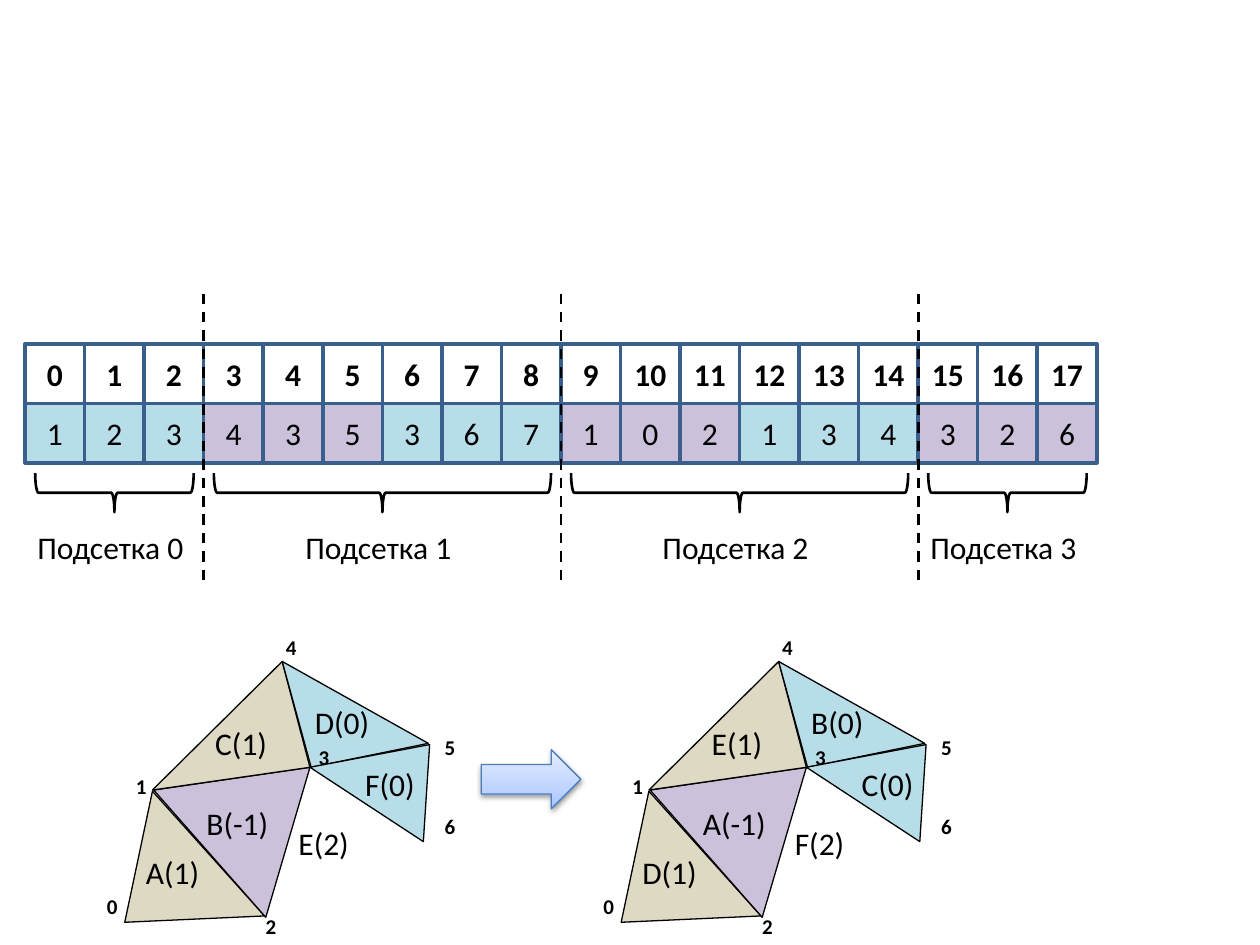
import pptx
import pptx.util
import pptx.dml.color
import pptx.enum.dml
import pptx.enum.shapes
import pptx.enum.text
import pptx.oxml
import pptx.oxml.ns

Inches = pptx.util.Inches
Pt = pptx.util.Pt
RGBColor = pptx.dml.color.RGBColor
SHAPE = pptx.enum.shapes.MSO_SHAPE

BLACK = RGBColor(0x00, 0x00, 0x00)
TAN = RGBColor(0xDD, 0xD9, 0xC3)
LILAC = RGBColor(0xCC, 0xC1, 0xDA)
AQUA = RGBColor(0xB7, 0xDE, 0xE8)
NAVY = RGBColor(0x3A, 0x5F, 0x8C)
BLUE = RGBColor(0x4B, 0x7E, 0xBC)

prs = pptx.Presentation()
prs.slide_width, prs.slide_height = Inches(10), Inches(7.5)
slide = prs.slides.add_slide(prs.slide_layouts[6])
shapes = slide.shapes


def write(shape, text, size, bold=False):
    frame = shape.text_frame
    frame.text = text
    font = frame.paragraphs[0].runs[0].font
    font.name, font.size, font.bold = "Calibri", Pt(size), bold
    font.color.rgb = BLACK
    return frame


def label(parent, text, left, top, width, height, size, bold=False):
    box = parent.add_textbox(Inches(left), Inches(top), Inches(width), Inches(height))
    frame = write(box, text, size, bold)
    frame.word_wrap = False
    frame.auto_size = pptx.enum.text.MSO_AUTO_SIZE.SHAPE_TO_FIT_TEXT


# Two meshes: same triangles and nodes, different element names
faces = [
    (TAN, [(0.99, 7.32), (1.21, 6.28), (2.1, 7.27)]),
    (LILAC, [(1.22, 6.27), (2.11, 7.28), (2.46, 6.09)]),
    (TAN, [(1.21, 6.27), (2.46, 6.09), (2.24, 5.25)]),
    (AQUA, [(2.24, 5.25), (2.47, 6.09), (3.4, 5.9)]),
    (AQUA, [(2.46, 6.09), (3.36, 6.68), (3.41, 5.91)]),
]
nodes = [(0.75, 7.04), (0.98, 6.09), (2.01, 7.2), (2.43, 5.86),
         (2.17, 4.99), (3.43, 5.78), (3.43, 6.41)]
spots = [(1.06, 6.72, 0.66), (1.54, 6.33, 0.73), (1.61, 5.7, 0.65),
         (2.4, 5.53, 0.67), (2.27, 6.49, 0.64), (2.8, 6.02, 0.65)]
meshes = [
    (0, ["A(1)", "B(-1)", "C(1)", "D(0)", "E(2)", "F(0)"]),
    (3.94, ["D(1)", "A(-1)", "E(1)", "B(0)", "F(2)", "C(0)"]),
]
for shift, names in meshes:
    mesh = slide.shapes.add_group_shape().shapes
    for color, points in faces:
        ends = [(Inches(x + shift), Inches(y)) for x, y in points]
        pen = mesh.build_freeform(*ends[0])
        pen.add_line_segments(ends[1:], close=True)
        face = pen.convert_to_shape()
        face.shadow.inherit = False
        face.fill.solid()
        face.fill.fore_color.rgb = color
        face.line.color.rgb = BLACK
        face.line.width = Pt(0.75)
    for node, (x, y) in enumerate(nodes):
        label(mesh, str(node), x + shift, y, 0.29, 0.3, 12, True)
    for name, (x, y, width) in zip(names, spots):
        label(mesh, name, x + shift, y, width, 0.4, 18)

# Arrow between the meshes, with gradient and soft shadow
arrow = shapes.add_shape(SHAPE.RIGHT_ARROW, Inches(3.82), Inches(5.95),
                         Inches(0.79), Inches(0.47))
arrow.shadow.inherit = False
arrow.line.color.rgb = BLUE
arrow.line.width = Pt(0.75)
space = pptx.oxml.ns.nsdecls("a")
stops = "".join(
    f'<a:gs pos="{pos * 1000}"><a:srgbClr val="{color}"/></a:gs>'
    for pos, color in [(0, "A4C4FF"), (35, "BFD4FF"), (100, "E6EEFF")])
blend = pptx.oxml.parse_xml(
    f'<a:gradFill {space} rotWithShape="1"><a:gsLst>{stops}</a:gsLst>'
    '<a:lin ang="16200000" scaled="0"/></a:gradFill>')
props = arrow._element.spPr
props.find(pptx.oxml.ns.qn("a:prstGeom")).addnext(blend)
props.find(pptx.oxml.ns.qn("a:effectLst")).append(pptx.oxml.parse_xml(
    f'<a:outerShdw {space} blurRad="40000" dist="20000" dir="5400000" rotWithShape="0">'
    '<a:srgbClr val="000000"><a:alpha val="38000"/></a:srgbClr></a:outerShdw>'))

# Index row and value row; values change colour every three cells
LEFT, TOP, CELL = 0.2, 2.73, 0.4725
values = [1, 2, 3, 4, 3, 5, 3, 6, 7, 1, 0, 2, 1, 3, 4, 3, 2, 6]
for row, items in enumerate([range(len(values)), values]):
    for col, item in enumerate(items):
        cell = shapes.add_shape(SHAPE.RECTANGLE, Inches(LEFT + col * CELL),
                                Inches(TOP + row * CELL), Inches(CELL), Inches(CELL))
        cell.shadow.inherit = False
        if row == 0:
            cell.fill.background()
        else:
            cell.fill.solid()
            cell.fill.fore_color.rgb = (AQUA, LILAC)[col // 3 % 2]
        cell.line.color.rgb = NAVY
        cell.line.width = Pt(2)
        frame = write(cell, str(item), 18, row == 0)
        frame.margin_left = frame.margin_right = 0
        frame.vertical_anchor = pptx.enum.text.MSO_ANCHOR.MIDDLE
        frame.paragraphs[0].alignment = pptx.enum.text.PP_ALIGN.CENTER

# Braces and captions for the submeshes
bounds = [0, 3, 9, 15, 18]
for part, (first, last) in enumerate(zip(bounds, bounds[1:])):
    mid = LEFT + (first + last) / 2 * CELL
    span = (last - first) * CELL - 0.16
    brace = shapes.add_shape(SHAPE.LEFT_BRACE, Inches(mid - 0.155), Inches(3.91 - span / 2),
                             Inches(0.31), Inches(span))
    brace.rotation = 270
    brace.shadow.inherit = False
    brace.fill.background()
    brace.line.color.rgb = BLACK
    brace.line.width = Pt(1.5)
    label(shapes, f"Подсетка {part}", mid - 0.71, 4.14, 1.37, 0.4, 18)

# Dashed dividers
for bound in bounds[1:-1]:
    x = Inches(LEFT + bound * CELL)
    rule = shapes.add_connector(pptx.enum.shapes.MSO_CONNECTOR.STRAIGHT,
                                x, Inches(2.33), x, Inches(4.62))
    rule.line.color.rgb = BLACK
    rule.line.width = Pt(1.5)
    rule.line.dash_style = pptx.enum.dml.MSO_LINE.DASH
    rule._element.spPr.append(pptx.oxml.parse_xml(f"<a:effectLst {space}/>"))

prs.save("out.pptx")
